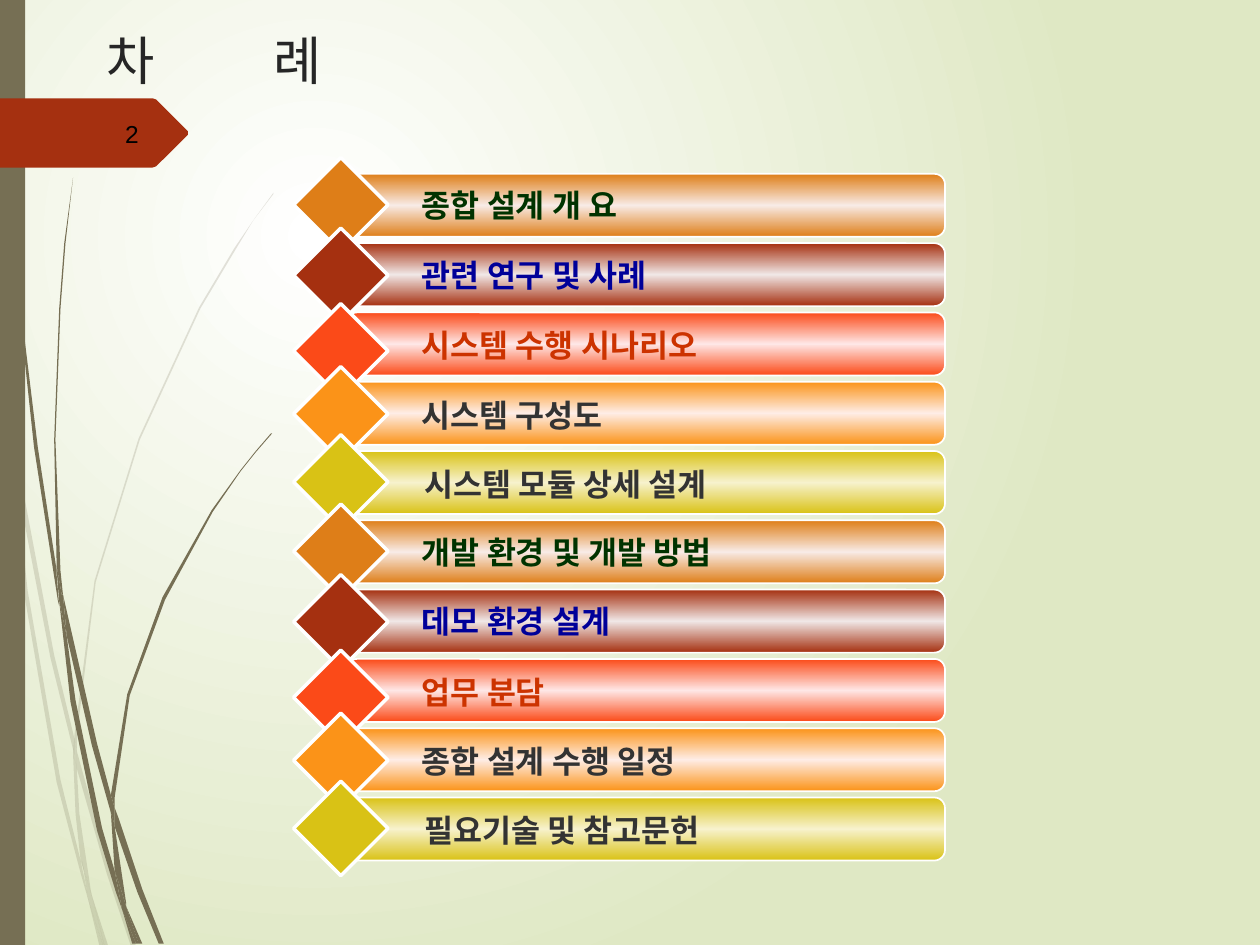
from lxml import etree
from pptx import Presentation
from pptx.dml.color import RGBColor
from pptx.enum.shapes import MSO_SHAPE
from pptx.enum.text import MSO_ANCHOR, PP_ALIGN
from pptx.oxml import parse_xml
from pptx.oxml.ns import nsdecls, qn
from pptx.util import Inches, Pt

RECT, ROUND, DIAMOND = MSO_SHAPE.RECTANGLE, MSO_SHAPE.ROUNDED_RECTANGLE, MSO_SHAPE.DIAMOND
LEFT, RIGHT, JUSTIFY = PP_ALIGN.LEFT, PP_ALIGN.RIGHT, PP_ALIGN.JUSTIFY
TOP, MIDDLE = MSO_ANCHOR.TOP, MSO_ANCHOR.MIDDLE

WHITE = RGBColor(0xFF, 0xFF, 0xFF)
BLACK = RGBColor(0, 0, 0)
INK = RGBColor(0x26, 0x26, 0x26)
SAGE = RGBColor(0xDF, 0xE8, 0xC4)
OLIVE = RGBColor(0x76, 0x6F, 0x54)
RUST = RGBColor(0xA5, 0x30, 0x10)
OCHRE = RGBColor(0xDE, 0x7E, 0x18)
RED = RGBColor(0xFB, 0x4A, 0x18)
ORANGE = RGBColor(0xFB, 0x93, 0x18)
LIME = RGBColor(0xD9, 0xC2, 0x15)
GREEN = RGBColor(0, 0x33, 0)
BLUE = RGBColor(0, 0, 0x99)
BRICK = RGBColor(0xCC, 0x33, 0)
GRAY = RGBColor(0x33, 0x33, 0x33)

HANGUL, SANS = "Noto Sans CJK KR", "Arial"
HUNDREDTH = 9144  # EMU in 0.01 inch

# Row grid, in inches
ROW_TOP, PITCH, ROW_HIGH = 1.38, 0.55, 0.5
BAR_LEFT, BAR_WIDE = 2.75, 4.75
GEM_LEFT, GEM = 2.33, 0.75
TEXT_LEFT, TEXT_WIDE, TEXT_HIGH = 3.25, 3.89, 0.4

# Colour, glow, text colour, rise of the gem, shift of the label (x, y)
STYLES = [
    (OCHRE, RGBColor(0xF8, 0xEB, 0xE6), GREEN, 0.13, (0, 0.05)),
    (RUST, RGBColor(0xF0, 0xE7, 0xE6), BLUE, 0.12, (0, 0.05)),
    (RED, RGBColor(0xFE, 0xE7, 0xE6), BRICK, 0.07, (0, 0.06)),
    (ORANGE, RGBColor(0xFE, 0xED, 0xE6), GRAY, 0.12, (0, 0.06)),
    (LIME, RGBColor(0xF7, 0xF2, 0xCD), GRAY, 0.13, (0.02, 0.06)),
]
TOPICS = [
    "종합 설계 개 요", "관련 연구 및 사례", "시스템 수행 시나리오", "시스템 구성도",
    "시스템 모듈 상세 설계", "개발 환경 및 개발 방법", "데모 환경 설계", "업무 분담",
    "종합 설계 수행 일정", "필요기술 및 참고문헌",
]

# Grass blades: outline points in hundredths of an inch
PALE = [
    [(8, 350), (6, 322), (0, 282), (0, 299), (7, 344)],
    [(40, 522), (59, 599), (59, 586), (43, 520), (10, 345), (12, 376)],
    [(64, 607), (61, 596), (61, 610), (85, 694), (104, 751), (108, 751), (88, 692)],
    [(83, 751), (86, 751), (73, 711)],
    [(64, 683), (48, 619), (22, 469), (12, 376), (8, 350), (19, 470), (45, 621),
     (64, 693), (70, 714), (69, 707)],
    [(58, 599), (60, 646), (64, 683), (67, 692), (73, 711), (72, 706), (63, 646),
     (61, 610), (61, 608)],
    [(61, 584), (76, 462), (111, 349), (159, 245), (187, 198), (201, 175), (217, 154),
     (217, 153), (201, 175), (186, 197), (158, 244), (110, 348), (75, 461), (59, 584),
     (59, 586), (61, 596)],
    [(70, 714), (79, 751), (82, 751)],
    [(61, 608), (61, 610), (61, 596), (59, 586), (58, 599)],
    [(67, 692), (65, 683), (69, 707), (70, 714), (82, 751), (83, 751), (73, 711)],
]
DARK = [
    [(5, 110), (14, 233), (27, 355), (46, 477), (47, 481), (45, 457), (45, 453),
     (30, 355), (15, 232), (6, 109), (4, 48), (3, 0), (2, 0), (3, 48)],
    [(73, 592), (88, 645), (88, 633), (88, 631), (77, 590), (50, 472), (53, 505)],
    [(94, 649), (91, 641), (91, 656), (109, 708), (126, 749), (130, 749), (113, 706)],
    [(91, 691), (81, 657), (60, 556), (53, 505), (47, 477), (56, 557), (77, 659),
     (92, 708), (97, 722), (96, 717)],
    [(50, 472), (48, 453), (44, 349), (48, 245), (52, 193), (58, 141), (58, 141),
     (51, 193), (47, 245), (43, 349), (45, 449), (49, 472)],
    [(110, 749), (113, 749), (100, 719)],
    [(47, 477), (53, 505), (50, 472), (49, 472), (45, 449), (45, 453)],
    [(91, 633), (103, 552), (131, 476), (169, 406), (191, 374), (203, 359), (216, 344),
     (215, 344), (203, 358), (191, 373), (168, 405), (129, 474), (101, 551), (88, 631),
     (91, 641)],
    [(97, 722), (105, 749), (108, 749)],
    [(88, 645), (91, 691), (96, 706), (100, 719), (100, 716), (91, 656), (90, 651)],
    [(88, 645), (90, 651), (91, 656), (91, 641), (88, 631), (88, 633)],
    [(96, 706), (91, 691), (96, 717), (97, 722), (108, 749), (110, 749), (100, 719)],
]
FLAG = [(149, 107), (124, 132), (121, 133), (0, 133), (0, 78), (121, 78), (124, 79), (149, 104)]


def blend(node, stops, course):
    """Swap the solid fill under node for a gradient."""
    marks = "".join(
        f'<a:gs pos="{pos * 1000}"><a:srgbClr val="{hue}"/></a:gs>' for pos, hue in stops)
    old = node.find(".//" + qn("a:solidFill"))
    old.getparent().replace(old, parse_xml(
        f'<a:gradFill {nsdecls("a")} rotWithShape="1"><a:gsLst>{marks}</a:gsLst>{course}</a:gradFill>'))


def paint(shape, hue, edge=0):
    shape.shadow.inherit = False
    shape.fill.solid()
    shape.fill.fore_color.rgb = hue
    if edge:
        shape.line.color.rgb = WHITE
        shape.line.width = Pt(edge)
    else:
        shape.line.fill.background()
    return shape


def block(shapes, kind, box, hue, edge=0):
    return paint(shapes.add_shape(kind, *map(Inches, box)), hue, edge)


def outline(shapes, points, hue, alpha=100):
    pen = shapes.build_freeform(*points[0], scale=HUNDREDTH)
    pen.add_line_segments(points[1:], close=True)
    shape = paint(pen.convert_to_shape(), hue)
    if alpha < 100:
        tint = shape.fill._xPr.find(".//" + qn("a:srgbClr"))
        etree.SubElement(tint, qn("a:alpha")).set("val", str(alpha * 1000))


def label(shapes, text, box, size, hue, face=HANGUL, bold=False, align=LEFT, anchor=TOP):
    frame = shapes.add_textbox(*map(Inches, box)).text_frame
    frame.word_wrap = True
    frame.vertical_anchor = anchor
    par = frame.paragraphs[0]
    par.text, par.alignment = text, align
    font = par.font
    font.size, font.bold, font.name = Pt(size), bold, face
    font.color.rgb = hue
    props = par._p.get_or_add_pPr()
    etree.SubElement(props.find(qn("a:defRPr")), qn("a:ea")).set("typeface", face)
    return props


def set_tab(props, stop):
    props.insert(0, parse_xml(
        f'<a:tabLst {nsdecls("a")}><a:tab pos="{Inches(stop)}" algn="l"/></a:tabLst>'))


def backdrop(slide):
    slide.background.fill.solid()
    blend(slide.background._cSld, [(0, WHITE), (100, SAGE)],
          '<a:path path="circle"><a:fillToRect l="50000" t="50000" r="100000" b="100000"/></a:path>')
    for blades, alpha in ((PALE, 20), (DARK, 100)):
        tuft = slide.shapes.add_group_shape()
        for blade in blades:
            outline(tuft.shapes, blade, OLIVE, alpha)
    block(slide.shapes, RECT, (0, 0, 0.2, 7.5), OLIVE)
    outline(slide.shapes, FLAG, RUST)


def row(shapes, index, topic):
    hue, glow, ink, rise, (dx, dy) = STYLES[index % len(STYLES)]
    top = ROW_TOP + index * PITCH
    bar = block(shapes, ROUND, (BAR_LEFT, top, BAR_WIDE, ROW_HIGH), hue, 1)
    blend(bar.fill._xPr, [(0, hue), (50, glow), (100, hue)], '<a:lin ang="5400000" scaled="0"/>')
    block(shapes, DIAMOND, (GEM_LEFT, top - rise, GEM, GEM), hue, 2)
    label(shapes, topic, (TEXT_LEFT + dx, top + dy, TEXT_WIDE, TEXT_HIGH),
          18, ink, bold=True, align=JUSTIFY)


def main():
    deck = Presentation()
    deck.slide_width, deck.slide_height = Inches(10), Inches(7.5)
    slide = deck.slides.add_slide(deck.slide_layouts[6])
    backdrop(slide)
    set_tab(label(slide.shapes, "차\t례", (0.75, 0.17, 5.67, 0.62), 30, INK), 1.32)
    label(slide.shapes, "2", (0.56, 0.86, 0.64, 0.4), 14, BLACK, SANS, align=RIGHT, anchor=MIDDLE)
    for index, topic in enumerate(TOPICS):
        row(slide.shapes, index, topic)
    deck.save("out.pptx")


if __name__ == "__main__":
    main()
